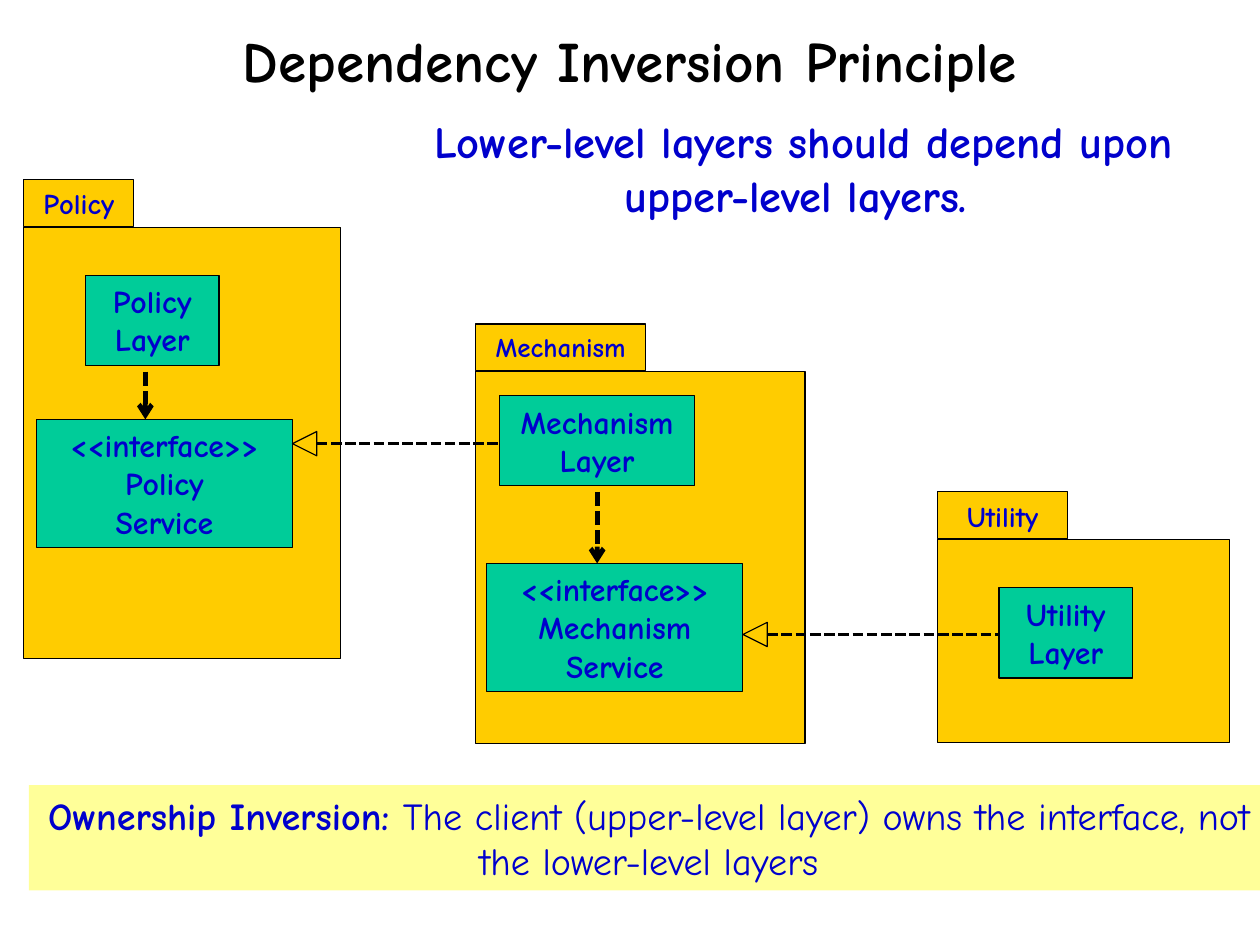
"""Build the Dependency Inversion Principle slide with its three layered packages."""
import pptx
import pptx.util
import pptx.dml.color
import pptx.enum.dml
import pptx.enum.shapes
import pptx.enum.text
import pptx.oxml
import pptx.oxml.ns
import lxml.etree

Cm, Pt = pptx.util.Cm, pptx.util.Pt
color = pptx.dml.color.RGBColor.from_string
BLACK, BLUE, GOLD, GREEN, CREAM = "000000", "0000CC", "FFCC00", "00CC99", "FFFF99"

deck = pptx.Presentation()
deck.slide_width, deck.slide_height = Cm(28), Cm(21)
slide = deck.slides.add_slide(deck.slide_layouts[6])
shapes = slide.shapes


def add_box(bounds, lines=(), size=20, fill=None, outlined=True, ink=BLUE):
    box = shapes.add_shape(pptx.enum.shapes.MSO_SHAPE.RECTANGLE, *map(Cm, bounds))
    box.shadow.inherit = False
    if fill:
        box.fill.solid()
        box.fill.fore_color.rgb = color(fill)
    else:
        box.fill.background()
    if outlined:
        box.line.color.rgb = color(BLACK)
        box.line.width = Pt(0.75)
    else:
        box.line.fill.background()
    frame = box.text_frame
    frame.word_wrap = True
    frame.vertical_anchor = pptx.enum.text.MSO_ANCHOR.TOP
    frame.margin_left = frame.margin_right = Cm(0.28)
    frame.margin_top = frame.margin_bottom = Cm(0.15)
    frame.text = "\n".join(lines)
    for paragraph in frame.paragraphs:
        paragraph.alignment = pptx.enum.text.PP_ALIGN.CENTER
        for run in paragraph.runs:
            run.font.name = "Comic Neue"
            run.font.size = Pt(size)
            run.font.bold = True
            run.font.color.rgb = color(ink)
    return frame


def add_dashed_line(start, end, width, arrow=False):
    dashed = shapes.add_connector(
        pptx.enum.shapes.MSO_CONNECTOR.STRAIGHT, *map(Cm, start + end))
    dashed.line.color.rgb = color(BLACK)
    dashed.line.width = Pt(width)
    dashed.line.dash_style = pptx.enum.dml.MSO_LINE.SQUARE_DOT
    if arrow:
        outline = dashed.line._get_or_add_ln()
        lxml.etree.SubElement(outline, pptx.oxml.ns.qn("a:tailEnd"), type="arrow")
    properties = dashed._element.spPr
    lxml.etree.SubElement(properties, pptx.oxml.ns.qn("a:effectLst"))


title = add_box((0.66, 0.2, 26.67, 2.46), ["Dependency Inversion Principle"], 36,
                outlined=False, ink=BLACK)
title.vertical_anchor = pptx.enum.text.MSO_ANCHOR.MIDDLE
title.paragraphs[0].line_spacing = 0.88

packages = [
    ("Policy", 18, (0.53, 5.05, 7.04, 9.58), 2.44, (1.9, 6.12, 2.97, 2.01), (0.81, 9.32)),
    ("Mechanism", 17, (10.57, 8.26, 7.32, 8.26), 3.78, (11.1, 8.79, 4.34, 2.01), (10.82, 12.52)),
    ("Utility", 18, (20.83, 11.99, 6.5, 4.52), 2.9, (22.2, 13.06, 2.97, 2.01), None),
]
for name, tab_size, body, tab_width, layer, service in packages:
    left, top = body[:2]
    add_box(body, fill=GOLD)
    add_box((left, top - 1.06, tab_width, 1.04), [name], tab_size, GOLD)
    add_box(layer, [f"{name} Layer"], fill=GREEN)
    if service:
        add_box((*service, 5.69, 2.84), ["<<interface>>", name, "Service"], fill=GREEN)
        arrow_x = left + 2.7
        add_dashed_line((arrow_x, layer[1] + 2.14), (arrow_x, service[1]), 3, arrow=True)

for tip_x, y, layer_x in [(6.5, 9.86, 11.1), (16.51, 14.1, 22.2)]:
    base_x = tip_x + 0.54
    outline = shapes.build_freeform(Cm(tip_x), Cm(y))
    outline.add_line_segments(
        [(Cm(base_x), Cm(y - 0.27)), (Cm(base_x), Cm(y + 0.27))], close=True)
    arrowhead = outline.convert_to_shape()
    arrowhead.shadow.inherit = False
    arrowhead.fill.background()
    arrowhead.line.color.rgb = color(BLACK)
    arrowhead.line.width = Pt(0.75)
    add_dashed_line((base_x, y), (layer_x, y), 2.25)

add_box((7.9, 2.39, 19.91, 2.67),
        ["Lower-level layers should depend upon upper-level layers. "], 28, outlined=False)

ownership = add_box((0.64, 17.45, 27.56, 2.34), ["Ownership Inversion: "], 24, CREAM, outlined=False)
explanation = ownership.paragraphs[0].add_run()
explanation.text = "The client (upper-level layer) owns the interface, not the lower-level layers"
explanation.font.name = "Comic Neue"
explanation.font.size = Pt(24)
explanation.font.bold = False
explanation.font.color.rgb = color(BLUE)

deck.save("out.pptx")
